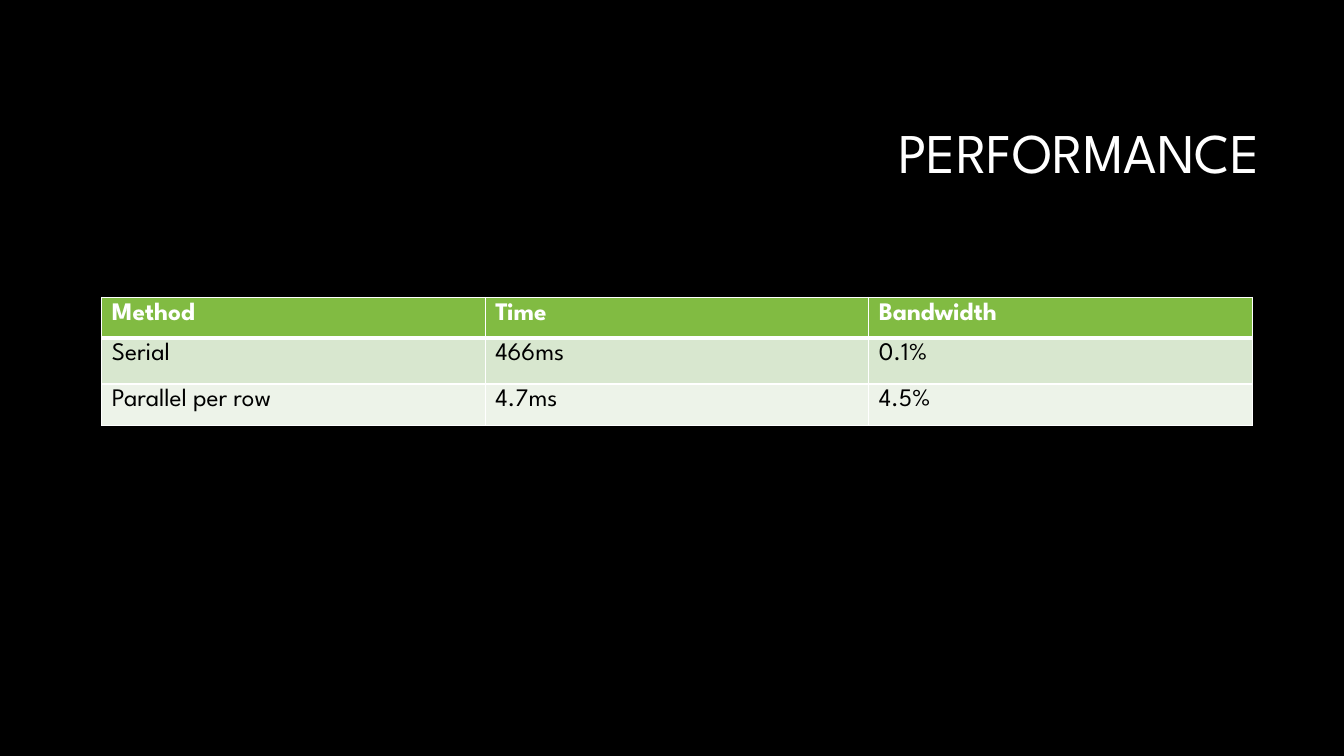
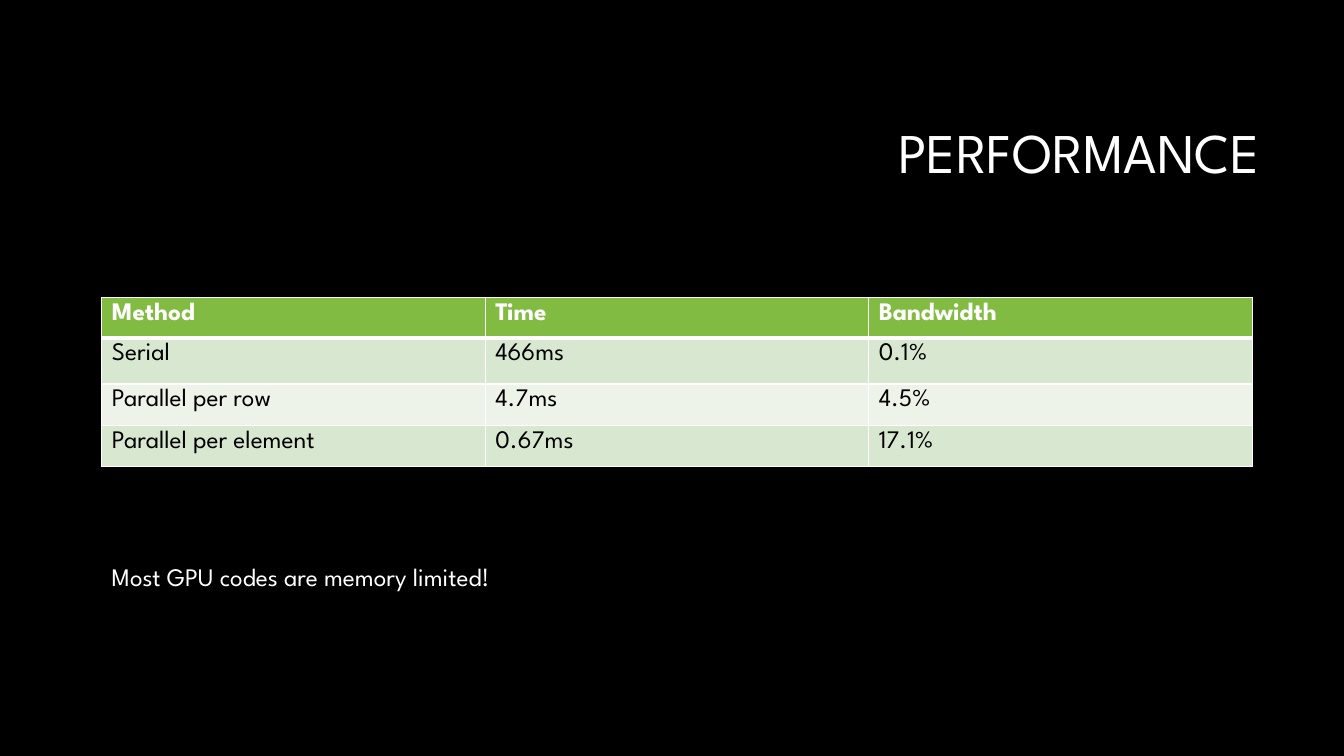
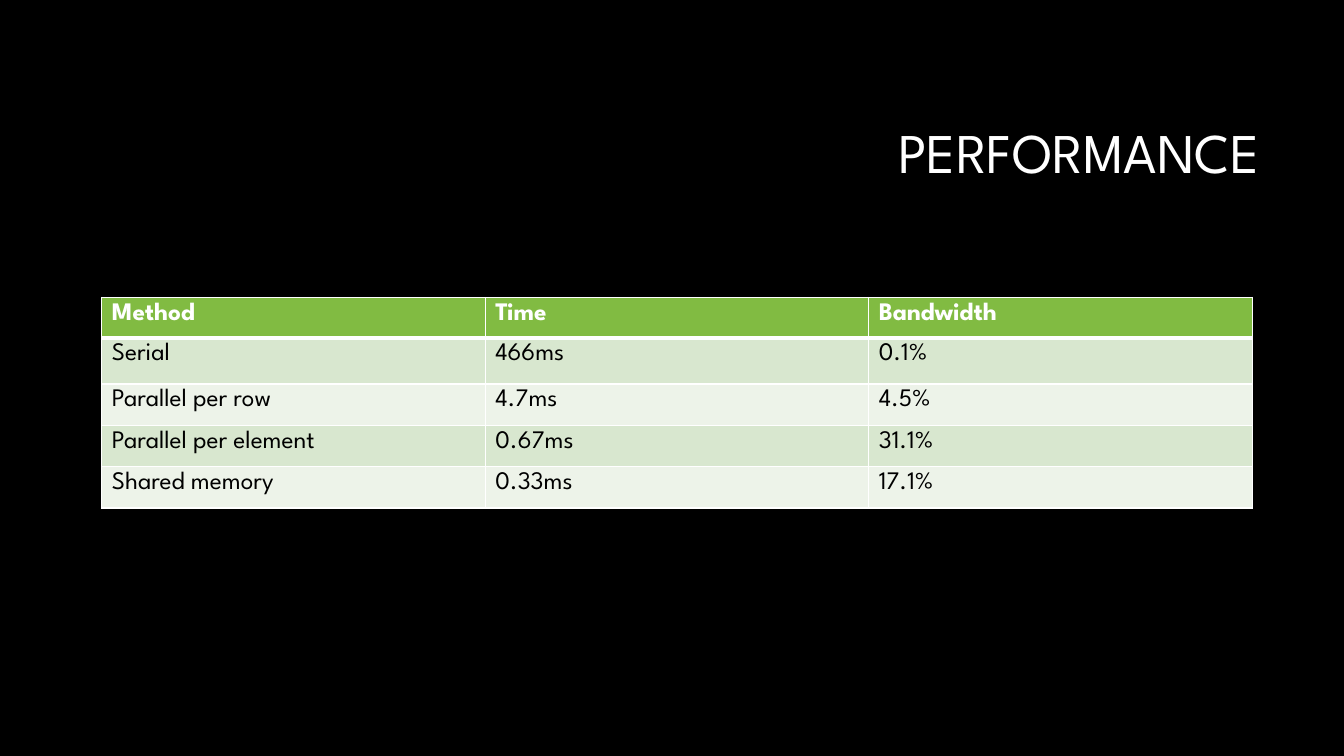
import pptx
import pptx.dml.color
import pptx.enum.text
import pptx.oxml
import pptx.oxml.ns
import pptx.util

Inches = pptx.util.Inches
Pt = pptx.util.Pt

TITLE = "PERFORMANCE"
HEADINGS = ("Method", "Time", "Bandwidth")
SERIAL = ("Serial", "466ms", "0.1%")
PER_ROW = ("Parallel per row", "4.7ms", "4.5%")
SLIDES = [
    {"results": [SERIAL, PER_ROW]},
    {
        "results": [SERIAL, PER_ROW, ("Parallel per element", "0.67ms", "17.1%")],
        "remark": "Most GPU codes are memory limited!",
    },
    {
        "results": [
            SERIAL,
            PER_ROW,
            ("Parallel per element", "0.67ms", "31.1%"),
            ("Shared memory", "0.33ms", "17.1%"),
        ]
    },
]

FONT = "League Spartan"
BLACK, WHITE = "000000", "FFFFFF"
HEADING_GREEN = "81BB42"
BANDS = ("D8E7CF", "EDF3E9")
LEFT = 1.01
TABLE_TOP, TABLE_WIDTH = 2.95, 11.41
HEADING_HEIGHT, SERIAL_HEIGHT, RESULT_HEIGHT = 0.36, 0.46, 0.41
THIN, THICK = 1, 3


def rgb(value):
    return pptx.dml.color.RGBColor.from_string(value)


def style(paragraph, size, color, bold=False):
    for run in paragraph.runs:
        run.font.name = FONT
        run.font.size = Pt(size)
        run.font.bold = bold
        run.font.color.rgb = rgb(color)


def add_text(slide, text, box, size, wrap):
    frame = slide.shapes.add_textbox(*map(Inches, box)).text_frame
    frame.word_wrap = wrap
    frame.text = text
    style(frame.paragraphs[0], size, WHITE)
    return frame


def add_title(slide):
    frame = add_text(slide, TITLE, (3.17, 0.84, 9.42, 1.41), 40, True)
    frame.vertical_anchor = pptx.enum.text.MSO_ANCHOR.MIDDLE
    frame.paragraphs[0].alignment = pptx.enum.text.PP_ALIGN.RIGHT
    frame.paragraphs[0].line_spacing = 0.9


def set_borders(cell, top, bottom):
    properties = cell._tc.get_or_add_tcPr()
    for side, width in (("L", THIN), ("R", THIN), ("T", top), ("B", bottom)):
        properties.append(pptx.oxml.parse_xml(
            f'<a:ln{side} {pptx.oxml.ns.nsdecls("a")} w="{Pt(width)}">'
            f'<a:solidFill><a:srgbClr val="{WHITE}"/></a:solidFill></a:ln{side}>'
        ))


def add_results(slide, results):
    rows = [HEADINGS, *results]
    heights = [HEADING_HEIGHT, SERIAL_HEIGHT] + [RESULT_HEIGHT] * (len(rows) - 2)
    box = (LEFT, TABLE_TOP, TABLE_WIDTH, sum(heights))
    table = slide.shapes.add_table(len(rows), len(HEADINGS), *map(Inches, box)).table
    for r, (values, height) in enumerate(zip(rows, heights)):
        heading = r == 0
        table.rows[r].height = Inches(height)
        for cell, value in zip(table.rows[r].cells, values):
            cell.text = value
            style(cell.text_frame.paragraphs[0], 18, WHITE if heading else BLACK, heading)
            set_borders(cell, THICK if r == 1 else THIN, THICK if heading else THIN)
            cell.fill.solid()
            cell.fill.fore_color.rgb = rgb(HEADING_GREEN if heading else BANDS[(r - 1) % 2])


def main():
    deck = pptx.Presentation()
    deck.slide_width, deck.slide_height = Inches(13.33), Inches(7.5)
    background = deck.slide_master.background.fill
    background.solid()
    background.fore_color.rgb = rgb(BLACK)
    for content in SLIDES:
        slide = deck.slides.add_slide(deck.slide_layouts[6])
        add_title(slide)
        add_results(slide, content["results"])
        if "remark" in content:
            add_text(slide, content["remark"], (LEFT, 5.52, 4.74, 0.4), 18, False)
    deck.save("out.pptx")


if __name__ == "__main__":
    main()
